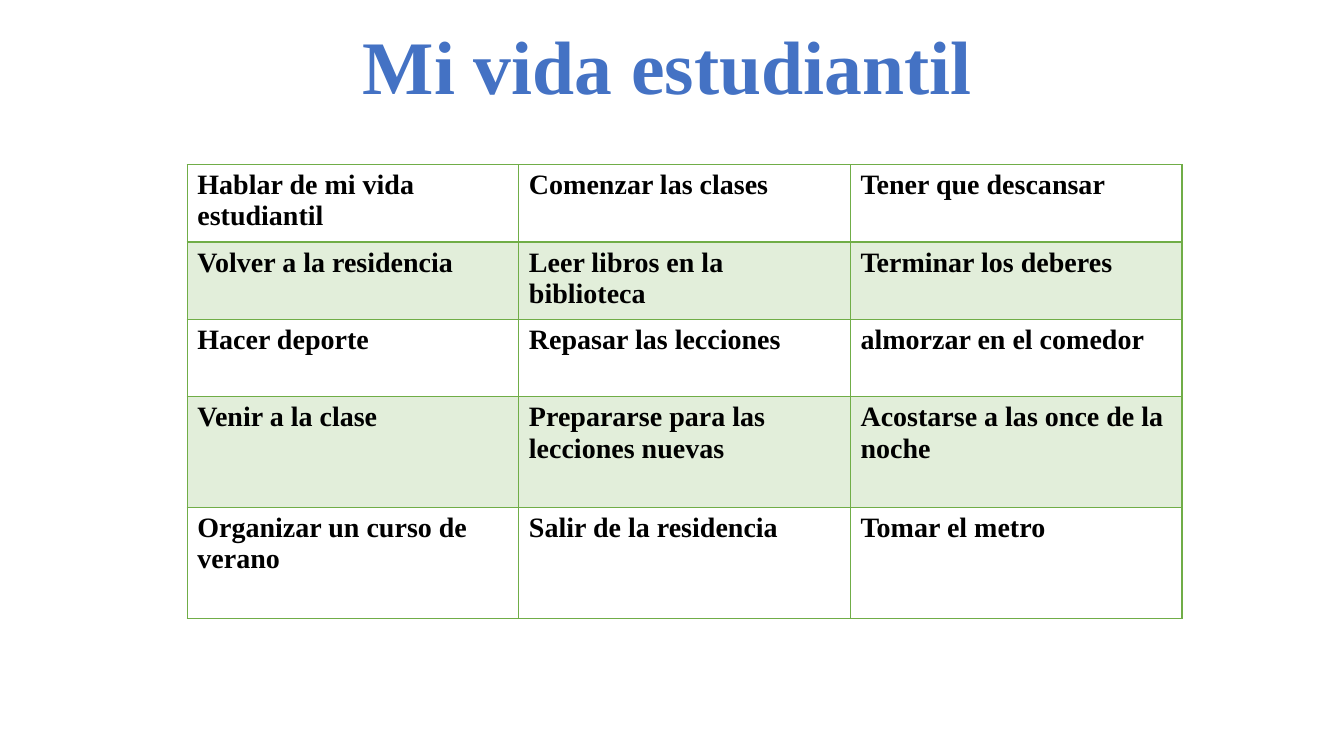
from pptx import Presentation
from pptx.dml.color import RGBColor
from pptx.enum.text import MSO_ANCHOR, MSO_AUTO_SIZE, PP_ALIGN
from pptx.oxml.ns import qn
from pptx.util import Cm, Pt
from lxml import etree

CENTER = PP_ALIGN.CENTER
MIDDLE = MSO_ANCHOR.MIDDLE
FIT_SHAPE = MSO_AUTO_SIZE.SHAPE_TO_FIT_TEXT
TITLE_ONLY = 5

BLUE, GREEN, BLACK, WHITE = "4472C4", "70AD47", "000000", "FFFFFF"
ROW_HEIGHTS = [1.95, 1.95, 1.95, 2.79, 2.79]
PHRASES = [
    ["Hablar de mi vida estudiantil", "Comenzar las clases", "Tener que descansar"],
    ["Volver a la residencia", "Leer libros en la biblioteca", "Terminar los deberes"],
    ["Hacer deporte", "Repasar las lecciones", "almorzar en el comedor"],
    ["Venir a la clase", "Prepararse para las lecciones nuevas",
     "Acostarse a las once de la noche"],
    ["Organizar un curso de verano", "Salir de la residencia", "Tomar el metro"],
]


def rgb(hex_code):
    """Turn a hex string into a colour."""
    return RGBColor.from_string(hex_code)


def set_all(target, values):
    """Set every attribute in a dict on the target."""
    for name, value in values.items():
        setattr(target, name, value)


def make_line(parent, tag, color, width):
    """Append a solid line element and return it."""
    line = etree.SubElement(parent, qn(tag), w=str(Pt(width)))
    fill = etree.SubElement(line, qn("a:solidFill"))
    etree.SubElement(fill, qn("a:srgbClr"), val=color)
    return line


class SlideBuilder:
    """Holds the text style and the current slide."""

    def __init__(self, s, font):
        """Keep the slide and the font name."""
        self.s = s
        self.font = font

    def add_text(self, tf, text, size, color):
        """Add one bold run to the first paragraph and return it."""
        r = tf.paragraphs[0].add_run()
        r.text = text
        set_all(r.font, {"name": self.font, "size": Pt(size), "bold": True})
        r.font.color.rgb = rgb(color)
        return r

    def title(self, text, left, top, width, height):
        """Place the title with a thin white outline on its letters."""
        sp = self.s.shapes.title
        set_all(sp, {"left": Cm(left), "top": Cm(top),
                     "width": Cm(width), "height": Cm(height)})
        tf = sp.text_frame
        set_all(tf, {"word_wrap": False, "auto_size": FIT_SHAPE,
                     "vertical_anchor": MIDDLE})
        tf.paragraphs[0].alignment = CENTER
        r = self.add_text(tf, text, 54, BLUE)
        props = r._r.get_or_add_rPr()
        props.insert(0, make_line(props, "a:ln", WHITE, 0.75))

    def cell(self, cell, text, top_width, bottom_width, is_tinted):
        """Format one table cell: text, borders and fill."""
        self.add_text(cell.text_frame, text, 20, BLACK)
        props = cell._tc.get_or_add_tcPr()
        widths = {"L": 1, "R": 1, "T": top_width, "B": bottom_width}
        for side, width in widths.items():
            make_line(props, f"a:ln{side}", GREEN, width)
        if not is_tinted:
            cell.fill.background()
            return
        cell.fill.solid()
        cell.fill.fore_color.rgb = rgb(GREEN)
        tint = props.find(qn("a:solidFill"))[0]
        etree.SubElement(tint, qn("a:alpha"), val="20000")

    def table(self, rows, heights, left, top, width):
        """Add a table with equal columns and every second row tinted."""
        frame = self.s.shapes.add_table(len(rows), len(rows[0]), Cm(left), Cm(top),
                                        Cm(width), Cm(sum(heights)))
        table = frame.table
        set_all(table, {"first_row": False, "horz_banding": False})
        for i, (texts, height) in enumerate(zip(rows, heights)):
            table.rows[i].height = Cm(height)
            # The first two rows share a thick edge.
            top_width = 2 if i == 1 else 1
            bottom_width = 2 if i == 0 else 1
            for j, text in enumerate(texts):
                self.cell(table.cell(i, j), text, top_width, bottom_width, i % 2 == 1)


prs = Presentation()
set_all(prs, {"slide_width": Cm(33.87), "slide_height": Cm(19.05)})
s = prs.slides.add_slide(prs.slide_layouts[TITLE_ONLY])
builder = SlideBuilder(s, "Times New Roman")
builder.title("Mi vida estudiantil", 7.34, 0.33, 18.95, 2.57)
builder.table(PHRASES, ROW_HEIGHTS, 4.72, 4.15, 25.07)
prs.save("out.pptx")
